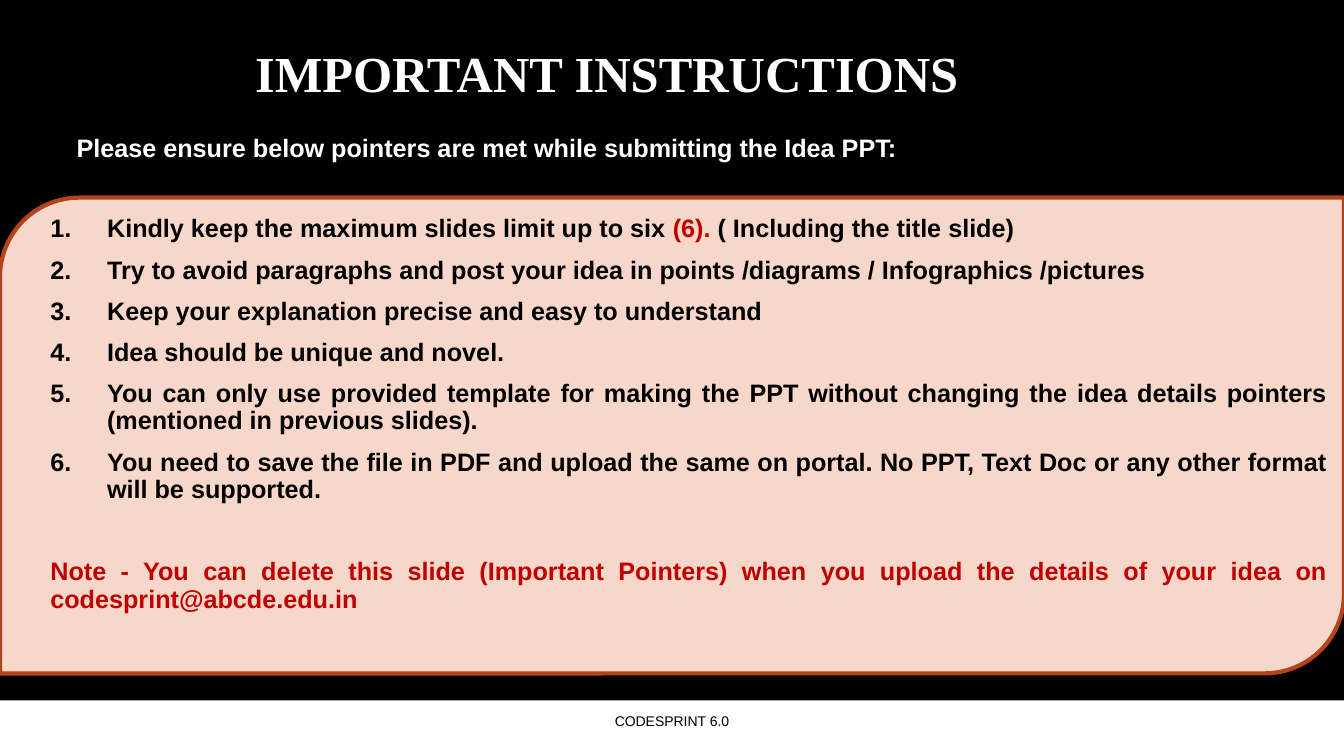
from pptx import Presentation
from pptx import util as u
from pptx.dml.color import RGBColor
from pptx.enum import shapes, text
from pptx.oxml.xmlchemy import OxmlElement

BLACK = RGBColor(0x00, 0x00, 0x00)
WHITE = RGBColor(0xFF, 0xFF, 0xFF)
RED = RGBColor(0xC0, 0x00, 0x00)
PEACH = RGBColor(0xF8, 0xD7, 0xCB)
RUST = RGBColor(0xB4, 0x42, 0x1A)

# Content: each paragraph is a list of (text, colour) runs
TITLE = "IMPORTANT INSTRUCTIONS"
LEAD = "Please ensure below pointers are met while submitting the Idea PPT:"
INSTRUCTIONS = [
    [("Kindly keep the maximum slides limit up to six ", BLACK), ("(6). ", RED),
     ("( Including the title slide)", BLACK)],
    [("Try to avoid paragraphs and post your idea in points /diagrams / Infographics /pictures", BLACK)],
    [("Keep your explanation precise and easy to understand", BLACK)],
    [("Idea should be unique and novel.", BLACK)],
    [("You can only use provided template for making the PPT without changing "
      "the idea details pointers (mentioned in previous slides).", BLACK)],
    [("You need to save the file in PDF and upload the same on portal. "
      "No PPT, Text Doc or any other format will be supported.", BLACK)],
]
NOTE = [("Note - You can delete this slide (Important Pointers) when you upload "
         "the details of your idea on codesprint@abcde.edu.in", RED)]
FOOTER = "CODESPRINT 6.0"

SLIDE_WIDTH, SLIDE_HEIGHT = 33.87, 19.05
FOOTER_TOP = 17.65
NUMBER_INDENT = u.Cm(1.43)


def write(paragraph, runs, font="Arial", size=18, bold=True,
          align=text.PP_ALIGN.JUSTIFY, spacing=0.9, before=0):
    paragraph.alignment = align
    paragraph.line_spacing = spacing
    paragraph.space_before = u.Pt(before)
    for words, colour in runs:
        run = paragraph.add_run()
        run.text = words
        run.font.name = font
        run.font.size = u.Pt(size)
        run.font.bold = bold
        run.font.color.rgb = colour


def number(paragraph):
    properties = paragraph._p.get_or_add_pPr()
    properties.set("marL", str(NUMBER_INDENT))
    properties.set("indent", str(-NUMBER_INDENT))
    bullet = OxmlElement("a:buAutoNum")
    bullet.set("type", "arabicPeriod")
    properties.append(bullet)


def add_box(slide, left, top, width, height, anchor=text.MSO_ANCHOR.TOP):
    shape = slide.shapes.add_textbox(u.Cm(left), u.Cm(top), u.Cm(width), u.Cm(height))
    shape.text_frame.word_wrap = True
    shape.text_frame.vertical_anchor = anchor
    return shape.text_frame


def add_panel(slide, kind, top, height, fill):
    shape = slide.shapes.add_shape(kind, 0, u.Cm(top), u.Cm(SLIDE_WIDTH), u.Cm(height))
    shape.shadow.inherit = False
    shape.fill.solid()
    shape.fill.fore_color.rgb = fill
    shape.line.fill.background()
    return shape


def main():
    presentation = Presentation()
    presentation.slide_width = u.Cm(SLIDE_WIDTH)
    presentation.slide_height = u.Cm(SLIDE_HEIGHT)
    slide = presentation.slides.add_slide(presentation.slide_layouts[5])
    slide.background.fill.solid()
    slide.background.fill.fore_color.rgb = BLACK

    # Title and lead sentence
    title = slide.shapes.title
    title.left, title.top, title.width, title.height = (
        u.Cm(length) for length in (3.61, 0.93, 23.37, 1.8))
    title.text_frame.vertical_anchor = text.MSO_ANCHOR.TOP
    title.text_frame.auto_size = text.MSO_AUTO_SIZE.NONE
    write(title.text_frame.paragraphs[0], [(TITLE, WHITE)], font="Times New Roman",
          size=36, align=text.PP_ALIGN.CENTER, spacing=1.0)
    lead = add_box(slide, 1.68, 3.3, 26.54, 0.94)
    write(lead.paragraphs[0], [(LEAD, WHITE)], before=10)

    # Footer band
    add_panel(slide, shapes.MSO_SHAPE.RECTANGLE, FOOTER_TOP,
              SLIDE_HEIGHT - FOOTER_TOP, WHITE)
    footer = add_box(slide, 0, FOOTER_TOP, SLIDE_WIDTH, 1.02, text.MSO_ANCHOR.MIDDLE)
    write(footer.paragraphs[0], [(FOOTER, BLACK)], size=10, bold=False,
          align=text.PP_ALIGN.CENTER, spacing=1.0)

    # Numbered instructions and closing note
    panel = add_panel(slide, shapes.MSO_SHAPE.ROUND_2_DIAG_RECTANGLE, 4.98, 11.99, PEACH)
    panel.line.color.rgb = RUST
    panel.line.width = u.Pt(3)
    body = add_box(slide, 1.02, 5.32, 32.69, 11.3)
    for index, runs in enumerate(INSTRUCTIONS):
        paragraph = body.add_paragraph() if index else body.paragraphs[0]
        write(paragraph, runs, before=10 if index else 0)
        number(paragraph)
    write(body.add_paragraph(), NOTE, before=39.5)

    presentation.save("out.pptx")


if __name__ == "__main__":
    main()
